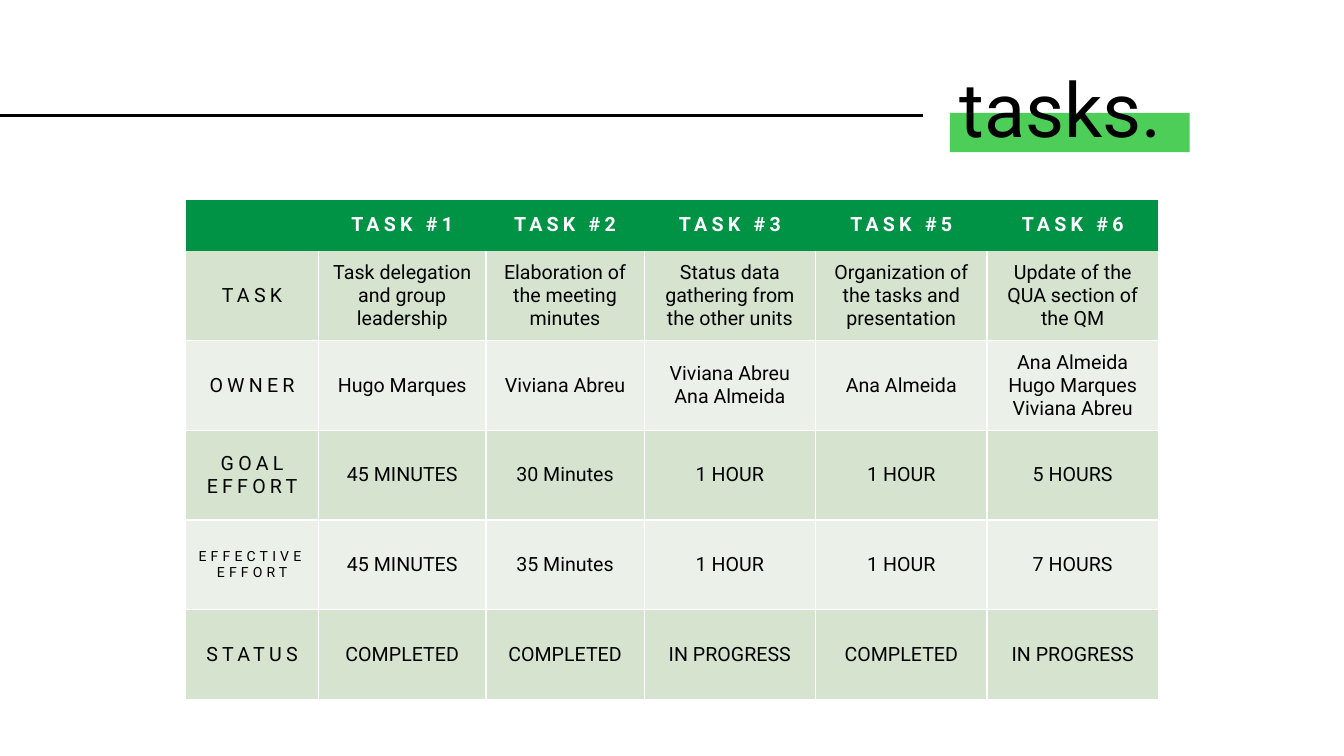
from lxml import etree
from pptx import Presentation, util as u
from pptx.dml.color import RGBColor
from pptx.enum import shapes, text
from pptx.oxml import ns

HUES = {"head": "009245", "odd": "D5E3CF", "even": "EBF1E9",
        "mark": "4DCE59", "ink": "000000", "white": "FFFFFF"}
ROWS = [
    ["", "TASK #1", "TASK #2", "TASK #3", "TASK #5", "TASK #6"],
    ["TASK", "Task delegation and group leadership", "Elaboration of the meeting minutes",
     "Status data gathering from the other units", "Organization of the tasks and presentation",
     "Update of the QUA section of the QM"],
    ["OWNER", "Hugo Marques", "Viviana Abreu", "Viviana Abreu\nAna Almeida", "Ana Almeida",
     "Ana Almeida\nHugo Marques\nViviana Abreu"],
    ["GOAL\nEFFORT", "45 MINUTES", "30 Minutes", "1 HOUR", "1 HOUR", "5 HOURS"],
    ["EFFECTIVE EFFORT", "45 MINUTES", "35 Minutes", "1 HOUR", "1 HOUR", "7 HOURS"],
    ["STATUS", "COMPLETED", "COMPLETED", "IN PROGRESS", "COMPLETED", "IN PROGRESS"],
]
WIDTHS = [1.32, 1.66, 1.57, 1.7, 1.7, 1.7]
HEIGHTS = [0.51] + [0.89] * 5


def write(par, words, size, hue, bold=False, gap=0):
    run = par.add_run()
    run.text = words
    run.font.name = "Roboto"
    run.font.size = u.Pt(size)
    run.font.bold = bold
    run.font.color.rgb = RGBColor.from_string(HUES[hue])
    if gap:
        run.font._element.set("spc", str(gap * 100))


def edge(cell, side, shown):
    line = etree.SubElement(cell._tc.get_or_add_tcPr(), ns.qn("a:ln" + side), w=str(u.Pt(1)))
    if shown:
        fill = etree.SubElement(line, ns.qn("a:solidFill"))
        etree.SubElement(fill, ns.qn("a:srgbClr"), val=HUES["white"])
    else:
        etree.SubElement(line, ns.qn("a:noFill"))


deck = Presentation()
deck.slide_width, deck.slide_height = u.Inches(13.33), u.Inches(7.5)
slide = deck.slides.add_slide(deck.slide_layouts[6])

bar = slide.shapes.add_shape(shapes.MSO_SHAPE.RECTANGLE, u.Inches(9.42), u.Inches(1.12),
                             u.Inches(2.38), u.Inches(0.39))
bar.shadow.inherit = False
bar.fill.solid()
bar.fill.fore_color.rgb = RGBColor.from_string(HUES["mark"])
bar.line.fill.background()

table = slide.shapes.add_table(len(ROWS), len(WIDTHS), u.Inches(1.84), u.Inches(1.98),
                               u.Inches(sum(WIDTHS)), u.Inches(sum(HEIGHTS))).table
for col, width in zip(table.columns, WIDTHS):
    col.width = u.Inches(width)
for row, height in zip(table.rows, HEIGHTS):
    row.height = u.Inches(height)

for r, row in enumerate(ROWS):
    for c, words in enumerate(row):
        cell = table.cell(r, c)
        cell.vertical_anchor = text.MSO_ANCHOR.MIDDLE
        for side in "LRTB":
            edge(cell, side, r > 1 or (r == 1 and side != "T"))
        cell.fill.solid()
        tone = "head" if r == 0 else "odd" if r % 2 else "even"
        cell.fill.fore_color.rgb = RGBColor.from_string(HUES[tone])
        frame = cell.text_frame
        for i, part in enumerate(words.split("\n") if words else []):
            par = frame.add_paragraph() if i else frame.paragraphs[0]
            par.alignment = text.PP_ALIGN.CENTER
            write(par, part, 10 if part == "EFFECTIVE EFFORT" else 14,
                  "ink" if r else "white", r == 0, 3 if r == 0 or c == 0 else 0)

rule = slide.shapes.add_connector(shapes.MSO_CONNECTOR.STRAIGHT, 0, u.Inches(1.15),
                                  u.Inches(9.15), u.Inches(1.15))
rule.line.width = u.Pt(2.25)
rule.line.color.rgb = RGBColor.from_string(HUES["ink"])
etree.SubElement(rule._element.spPr, ns.qn("a:effectLst"))

title = slide.shapes.add_textbox(u.Inches(9.42), u.Inches(0.4), u.Inches(2.99), u.Inches(1.45))
title.text_frame.word_wrap = True
title.text_frame.vertical_anchor = text.MSO_ANCHOR.MIDDLE
title.text_frame.paragraphs[0].line_spacing = 0.9
write(title.text_frame.paragraphs[0], "tasks.", 54, "ink")

deck.save("out.pptx")
